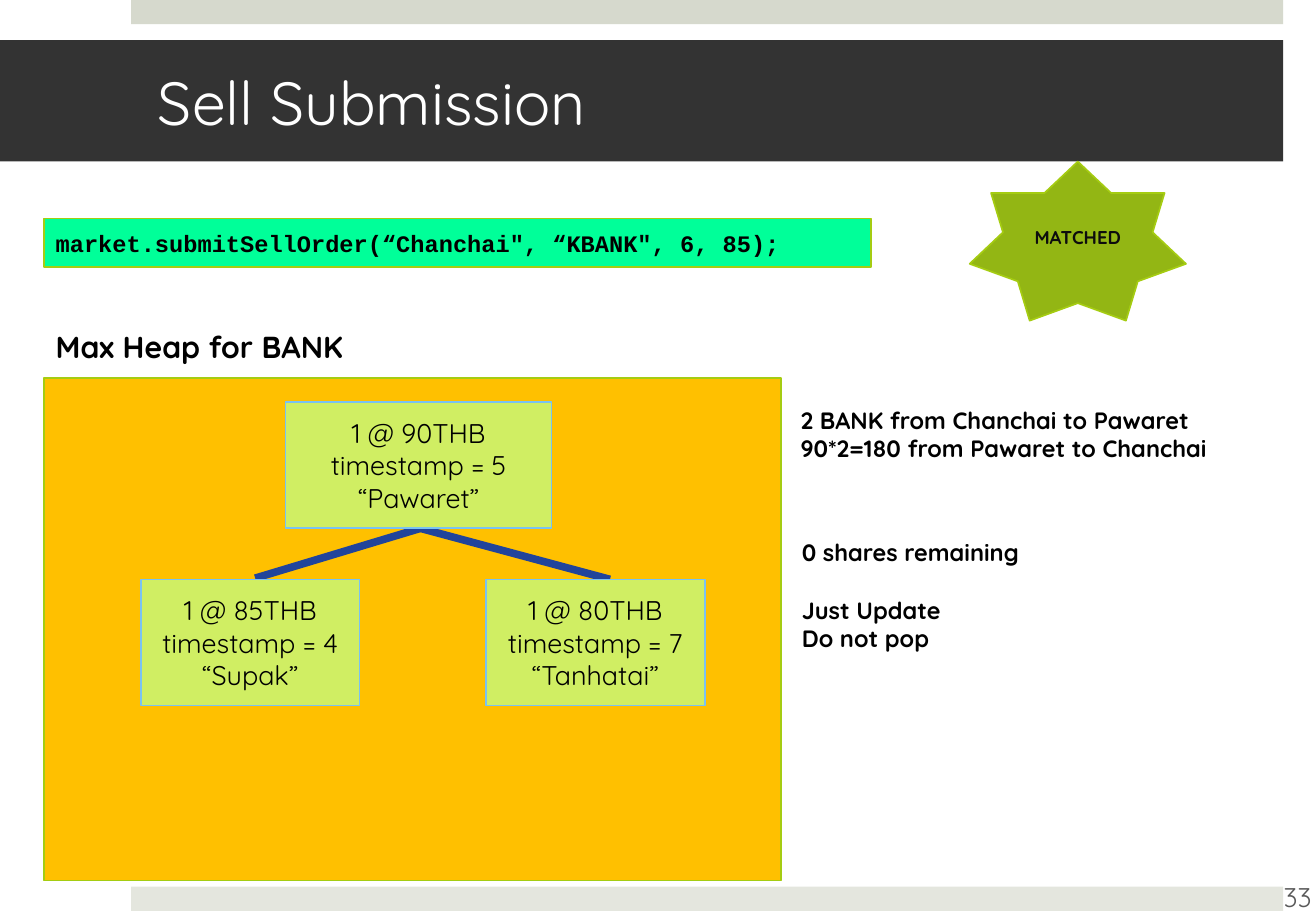
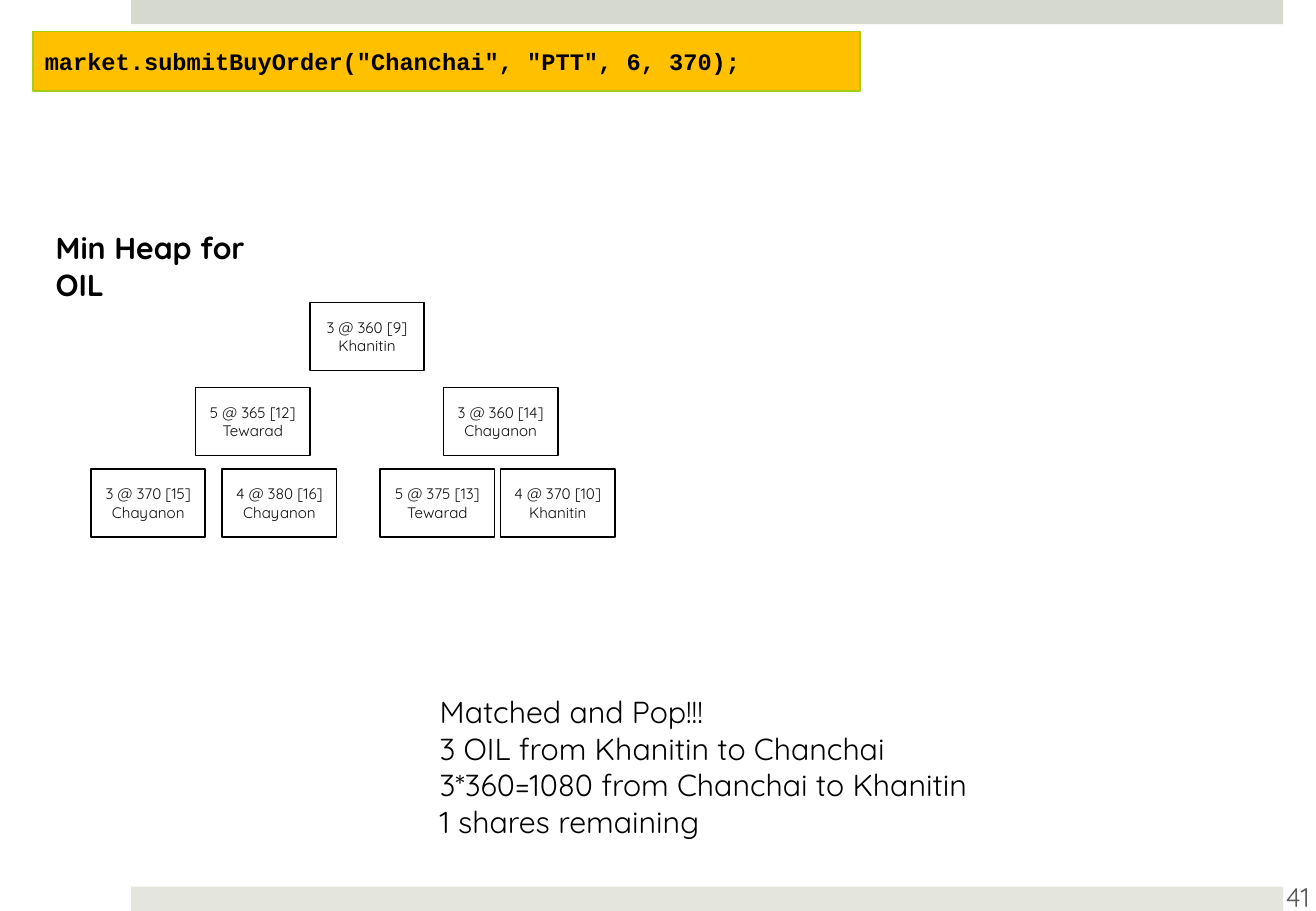
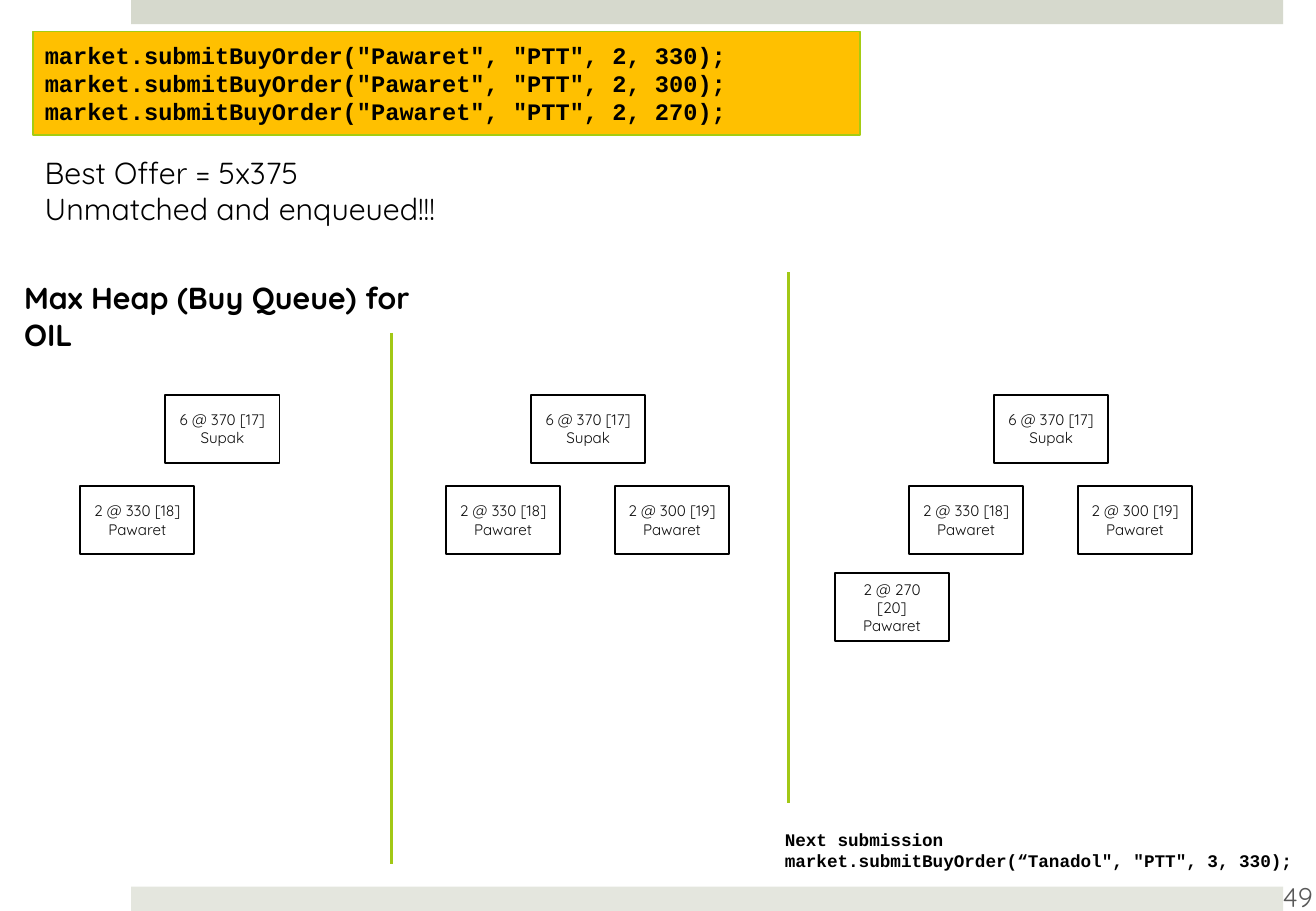
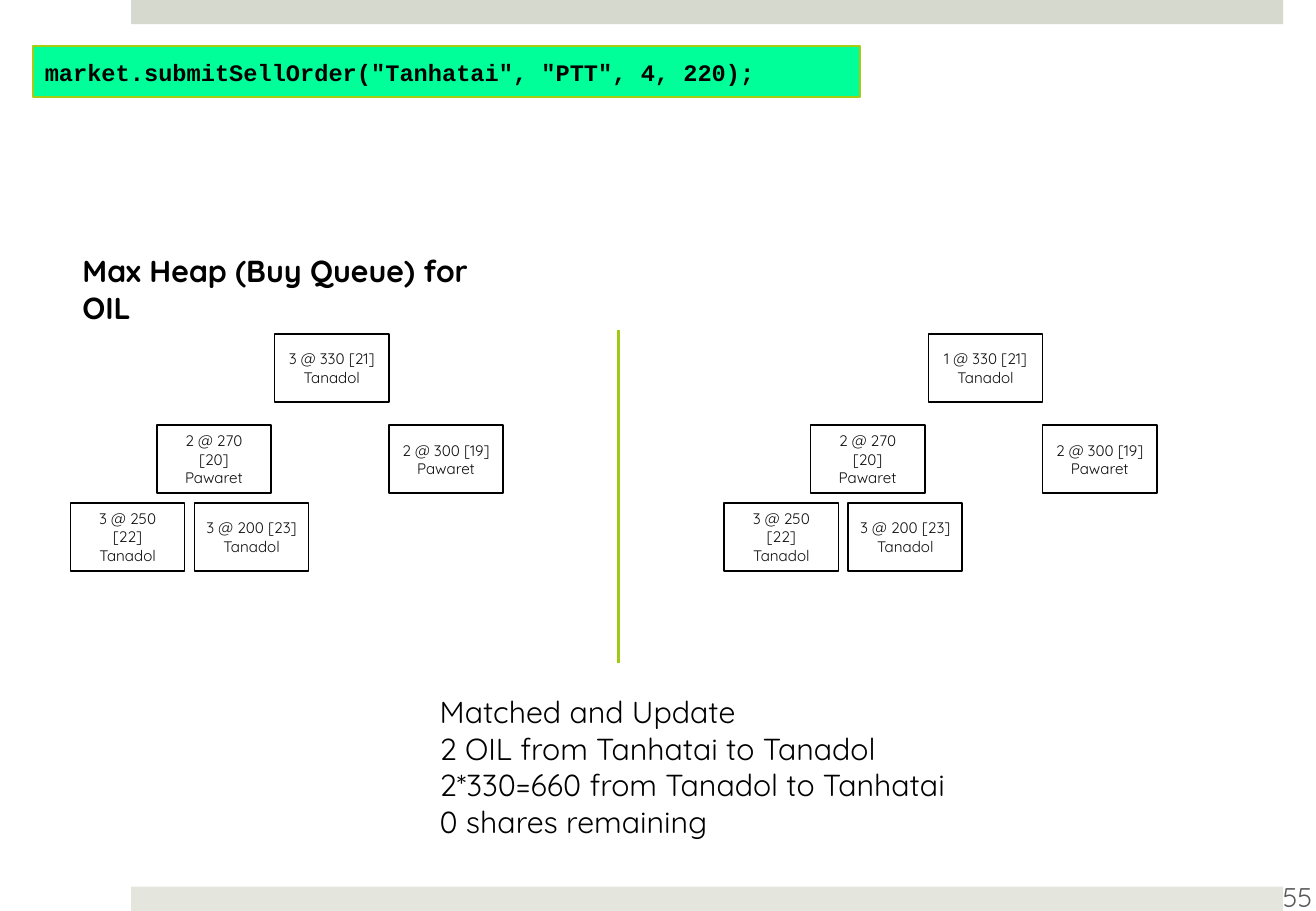
from dataclasses import dataclass

from lxml import etree
from pptx import Presentation
from pptx.dml.color import RGBColor
from pptx.enum import shapes, text
from pptx.oxml.ns import qn
from pptx.util import Inches, Pt


@dataclass(frozen=True)
class Theme:
    sans: str = "Quicksand"
    mono: str = "Courier New"
    top_band: str = "D6D9CD"
    bottom_band: str = "E4E6DE"
    title_fill: str = "333333"
    white: str = "FFFFFF"
    black: str = "000000"
    ink: str = "0D0D0D"
    grey: str = "595959"
    buy: str = "FFC000"
    sell: str = "00FF99"
    outline: str = "A5CC12"
    divider: str = "A2C816"
    star: str = "93B614"
    card: str = "D0EE63"
    card_line: str = "7AC2F2"
    branch: str = "21449B"
    title_size: float = 36
    body_size: float = 18
    card_size: float = 16
    code_size: float = 14
    star_size: float = 11
    next_size: float = 10.5
    node_size: float = 9


T = Theme()
RECT = shapes.MSO_SHAPE.RECTANGLE
CENTER = text.PP_ALIGN.CENTER


def put_text(slide, lines, at, *, kind=None, fill=None, line=None, size=T.body_size,
             font=T.sans, color=T.black, bold=False, align=text.PP_ALIGN.LEFT,
             middle=False, gap_before=None):
    """Add lines of text in a text box, or in a preset shape when kind is given."""
    place = [Inches(value) for value in at]
    if kind is None:
        box = slide.shapes.add_textbox(*place)
    else:
        box = slide.shapes.add_shape(kind, *place)
        box.shadow.inherit = False
        if fill:
            box.fill.solid()
            box.fill.fore_color.rgb = RGBColor.from_string(fill)
        else:
            box.fill.background()
        if line:
            box.line.color.rgb = RGBColor.from_string(line)
            box.line.width = Pt(1)
        else:
            box.line.fill.background()
    frame = box.text_frame
    frame.word_wrap = True
    frame.vertical_anchor = text.MSO_ANCHOR.MIDDLE if middle else text.MSO_ANCHOR.TOP
    for index, words in enumerate(lines):
        paragraph = frame.paragraphs[0] if index == 0 else frame.add_paragraph()
        paragraph.text = words
        paragraph.alignment = align
        if gap_before and index in gap_before:
            paragraph.space_before = Pt(gap_before[index])
        paragraph.font.name = font
        paragraph.font.size = Pt(size)
        paragraph.font.bold = bold
        paragraph.font.color.rgb = RGBColor.from_string(color)
    return box


def put_line(slide, start, end, color, width):
    rule = slide.shapes.add_connector(
        shapes.MSO_CONNECTOR.STRAIGHT, *[Inches(value) for value in (*start, *end)])
    rule.line.color.rgb = RGBColor.from_string(color)
    rule.line.width = Pt(width)
    etree.SubElement(rule.element.spPr, qn("a:effectLst"))


prs = Presentation()
prs.slide_width, prs.slide_height = Inches(10.83), Inches(7.5)
TITLE_ONLY, BLANK = prs.slide_layouts[5], prs.slide_layouts[6]

# Slides with their page numbers
page_style = dict(size=T.card_size, color=T.grey, align=CENTER, middle=True)
pages = []
for number, layout in ((33, TITLE_ONLY), (41, BLANK), (49, BLANK), (55, BLANK)):
    page = prs.slides.add_slide(layout)
    put_text(page, [str(number)], (10.41, 7.18, 0.54, 0.4), **page_style)
    pages.append(page)
sell_match, buy_match, buy_queue, sell_update = pages

# Bands shared through the slide master
for band_top, band_color in ((0, T.top_band), (7.3, T.bottom_band)):
    band = put_text(sell_match, [], (1.08, band_top, 9.48, 0.2), kind=RECT, fill=band_color)
    prs.slide_master.shapes.element.append(band.element)

# Order calls
code_style = dict(kind=RECT, line=T.outline, size=T.code_size, font=T.mono,
                  bold=True, middle=True)
for page, at, fill, calls in (
    (sell_match, (0.36, 1.8, 6.81, 0.4), T.sell,
     ['market.submitSellOrder(“Chanchai", “KBANK", 6, 85);']),
    (buy_match, (0.27, 0.26, 6.81, 0.49), T.buy,
     ['market.submitBuyOrder("Chanchai", "PTT", 6, 370);']),
    (buy_queue, (0.27, 0.26, 6.81, 0.85), T.buy,
     [f'market.submitBuyOrder("Pawaret", "PTT", 2, {price});' for price in (330, 300, 270)]),
    (sell_update, (0.27, 0.38, 6.81, 0.42), T.sell,
     ['market.submitSellOrder("Tanhatai", "PTT", 4, 220);']),
):
    put_text(page, calls, at, fill=fill, **code_style)

# Heap headings
for page, heading, at in (
    (sell_match, "Max Heap for BANK", (0.36, 2.65, 2.9, 0.4)),
    (buy_match, "Min Heap for OIL", (0.36, 1.84, 1.9, 0.71)),
    (buy_queue, "Max Heap (Buy Queue) for OIL", (0.1, 2.25, 3.5, 0.71)),
    (sell_update, "Max Heap (Buy Queue) for OIL", (0.58, 2.03, 3.5, 0.71)),
):
    put_text(page, [heading], at, bold=True)

# Outcomes
for page, at, outcome in (
    (buy_match, (3.52, 5.66, 4.87, 1.31),
     ["Matched and Pop!!!", "3 OIL from Khanitin to Chanchai",
      "3*360=1080 from Chanchai to Khanitin", "1 shares remaining"]),
    (buy_queue, (0.27, 1.22, 4.46, 0.71),
     ["Best Offer = 5x375", "Unmatched and enqueued!!!"]),
    (sell_update, (3.52, 5.66, 4.87, 1.31),
     ["Matched and Update", "2 OIL from Tanhatai to Tanadol",
      "2*330=660 from Tanadol to Tanhatai", "0 shares remaining"]),
):
    put_text(page, outcome, at)

# Sell Submission: title bar
title = sell_match.shapes.title
title.left, title.top, title.width, title.height = [Inches(v) for v in (0, 0.33, 10.56, 1)]
title.fill.solid()
title.fill.fore_color.rgb = RGBColor.from_string(T.title_fill)
title_frame = title.text_frame
title_frame.text = "Sell Submission"
title_frame.auto_size = text.MSO_AUTO_SIZE.NONE
title_frame.vertical_anchor = text.MSO_ANCHOR.MIDDLE
title_frame.margin_left, title_frame.margin_right = Inches(1.3), Inches(0.3)
title_line = title_frame.paragraphs[0]
title_line.alignment = text.PP_ALIGN.LEFT
title_line.font.name = T.sans
title_line.font.size = Pt(T.title_size)
title_line.font.color.rgb = RGBColor.from_string(T.white)

# Sell Submission: heap panel, branches and order cards
put_text(sell_match, [], (0.36, 3.11, 6.07, 4.14), kind=RECT, fill=T.buy, line=T.outline)
for child in ((2.1, 4.76), (5.02, 4.77)):
    put_line(sell_match, (3.46, 4.35), child, T.branch, 4.5)
for left, top, width, price, stamp, owner in (
    (2.35, 3.31, 2.19, 90, 5, "Pawaret"),
    (1.16, 4.77, 1.8, 85, 4, "Supak"),
    (4, 4.77, 1.8, 80, 7, "Tanhatai"),
):
    put_text(sell_match, [f"1 @ {price}THB", f"timestamp = {stamp}", f"“{owner}”"],
             (left, top, width, 1.04), kind=RECT, fill=T.card, line=T.card_line,
             size=T.card_size, align=CENTER, middle=True)

# Sell Submission: result
put_text(sell_match, ["MATCHED"], (7.98, 1.33, 1.78, 1.31), kind=shapes.MSO_SHAPE.STAR_7_POINT,
         fill=T.star, line=T.outline, size=T.star_size, color=T.ink, bold=True,
         align=CENTER, middle=True)
put_text(sell_match, ["2 BANK from Chanchai to Pawaret", "90*2=180 from Pawaret to Chanchai"],
         (6.49, 3.29, 3.8, 0.57), size=T.code_size, bold=True)
put_text(sell_match, ["0 shares remaining", "Just Update", "Do not pop"],
         (6.5, 4.38, 2.2, 1.04), size=T.code_size, bold=True, gap_before={1: 17.5})

# Heap trees: each node is (offset from root, drop from root, order, owner)
min_heap = [
    (0, 0, "3 @ 360 [9]", "Khanitin"),
    (-0.94, 0.7, "5 @ 365 [12]", "Tewarad"),
    (1.1, 0.7, "3 @ 360 [14]", "Chayanon"),
    (-1.8, 1.37, "3 @ 370 [15]", "Chayanon"),
    (-0.72, 1.37, "4 @ 380 [16]", "Chayanon"),
    (0.58, 1.37, "5 @ 375 [13]", "Tewarad"),
    (1.57, 1.37, "4 @ 370 [10]", "Khanitin"),
]
queue_heap = [
    (0, 0, "6 @ 370 [17]", "Supak"),
    (-0.7, 0.75, "2 @ 330 [18]", "Pawaret"),
    (0.69, 0.75, "2 @ 300 [19]", "Pawaret"),
    (-1.31, 1.47, "2 @ 270 [20]", "Pawaret"),
]
below_root = [
    (-0.97, 0.75, "2 @ 270 [20]", "Pawaret"),
    (0.94, 0.75, "2 @ 300 [19]", "Pawaret"),
    (-1.68, 1.39, "3 @ 250 [22]", "Tanadol"),
    (-0.66, 1.39, "3 @ 200 [23]", "Tanadol"),
]
trees = [
    (buy_match, 2.55, 2.49, min_heap),
    (buy_queue, 1.36, 3.25, queue_heap[:2]),
    (buy_queue, 4.37, 3.25, queue_heap[:3]),
    (buy_queue, 8.18, 3.25, queue_heap),
    (sell_update, 2.26, 2.75, [(0, 0, "3 @ 330 [21]", "Tanadol")] + below_root),
    (sell_update, 7.64, 2.75, [(0, 0, "1 @ 330 [21]", "Tanadol")] + below_root),
]
for page, root_left, root_top, nodes in trees:
    for offset, drop, order, owner in nodes:
        put_text(page, [order, owner], (root_left + offset, root_top + drop, 0.94, 0.56),
                 kind=RECT, line=T.black, size=T.node_size, color=T.ink,
                 align=CENTER, middle=True)

# Dividers between heap states
for page, x, top, bottom in (
    (buy_queue, 3.22, 2.74, 7.11),
    (buy_queue, 6.49, 2.24, 6.61),
    (sell_update, 5.09, 2.72, 5.46),
):
    put_line(page, (x, top), (x, bottom), T.divider, 2)

# Next call after the buy queue
put_text(buy_queue, ["Next submission", 'market.submitBuyOrder(“Tanadol", "PTT", 3, 330);'],
         (6.36, 6.77, 4.39, 0.45), size=T.next_size, font=T.mono, bold=True)

prs.save("out.pptx")
